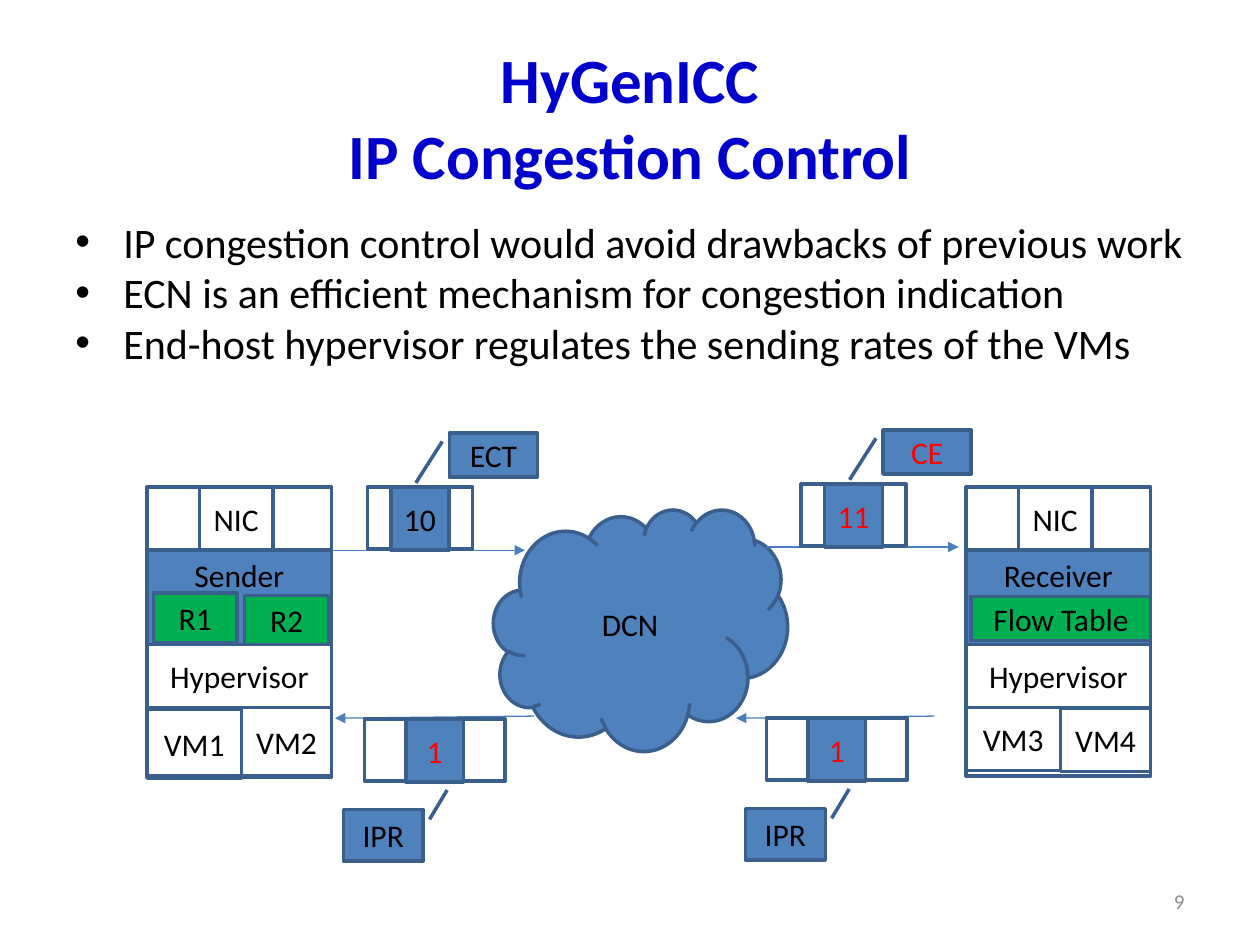
"""Build the HyGenICC slide: title, three bullets and a diagram of IP congestion control."""
from lxml import etree
from pptx import Presentation
from pptx.dml.color import RGBColor
from pptx.enum.shapes import MSO_CONNECTOR, MSO_SHAPE
from pptx.enum.text import MSO_ANCHOR, PP_ALIGN
from pptx.oxml.ns import qn
from pptx.util import Inches, Pt

RECTANGLE, CLOUD, CALLOUT = MSO_SHAPE.RECTANGLE, MSO_SHAPE.CLOUD, MSO_SHAPE.LINE_CALLOUT_1
STRAIGHT = MSO_CONNECTOR.STRAIGHT
TOP, MIDDLE = MSO_ANCHOR.TOP, MSO_ANCHOR.MIDDLE
CENTER, RIGHT = PP_ALIGN.CENTER, PP_ALIGN.RIGHT
BLUE, EDGE, ARROW, GREEN = "4F81BD", "3A5F8C", "4B7EBC", "00B050"
BLACK, RED, GREY, TITLE_BLUE = "000000", "FF0000", "8C8C8C", "0000CC"

deck = Presentation()
deck.slide_width, deck.slide_height = Inches(10), Inches(7.5)
COLUMN, ROW = deck.slide_width / 120, deck.slide_height / 90
page = deck.slides.add_slide(deck.slide_layouts[5])


def style(font, size, colour):
    """Set the typeface, size and hex colour of a font."""
    font.name, font.size = "Calibri", Pt(size)
    font.color.rgb = RGBColor.from_string(colour)


def draw(kind, column, row, columns, rows, label="", fill=None, colour=BLACK, anchor=MIDDLE):
    """Add an outlined shape placed on the slide grid, with a centred label."""
    shape = page.shapes.add_shape(kind, int(column * COLUMN), int(row * ROW),
                                  int(columns * COLUMN), int(rows * ROW))
    shape.shadow.inherit = False
    if fill:
        shape.fill.solid()
        shape.fill.fore_color.rgb = RGBColor.from_string(fill)
    else:
        shape.fill.background()
    shape.line.color.rgb = RGBColor.from_string(EDGE)
    shape.line.width = Pt(2)
    frame = shape.text_frame
    frame.margin_left = frame.margin_right = 0
    frame.vertical_anchor = anchor
    if label:
        frame.text = label
        frame.paragraphs[0].alignment = CENTER
        style(frame.paragraphs[0].runs[0].font, 18, colour)
    return shape


title = page.shapes.title
title.left, title.top = int(6 * COLUMN), int(3.6 * ROW)
title.width, title.height = int(108 * COLUMN), int(15 * ROW)
title.text_frame.text = "HyGenICC\vIP Congestion Control"
title.text_frame.vertical_anchor = MIDDLE
title.text_frame.paragraphs[0].alignment = CENTER
for span in title.text_frame.paragraphs[0].runs:
    style(span.font, 36, TITLE_BLUE)
    span.font.bold = True

body = page.shapes.add_textbox(int(6 * COLUMN), int(20 * ROW), int(111.5 * COLUMN), int(15.7 * ROW))
body.text_frame.word_wrap = True
body.text_frame.text = "\n".join([
    "IP congestion control would avoid drawbacks of previous work",
    "ECN is an efficient mechanism for congestion indication",
    "End-host hypervisor regulates the sending rates of the VMs",
])
for para in body.text_frame.paragraphs:
    properties = para._p.get_or_add_pPr()
    properties.set("marL", str(Inches(0.38)))
    properties.set("indent", str(-Inches(0.38)))
    etree.SubElement(properties, qn("a:buFont")).set("typeface", "Arial")
    etree.SubElement(properties, qn("a:buChar")).set("char", "•")
    style(para.runs[0].font, 24, BLACK)

number = page.shapes.add_textbox(int(86 * COLUMN), int(83.4 * ROW), int(28 * COLUMN), int(4.8 * ROW))
number.text_frame.word_wrap = True
number.text_frame.vertical_anchor = MIDDLE
number.text_frame.text = "9"
number.text_frame.paragraphs[0].alignment = RIGHT
style(number.text_frame.paragraphs[0].runs[0].font, 12, GREY)

hosts = [
    (14, "Sender", [("VM1", 67.5, 6.6), ("VM2", 67.4, 6.6)]),
    (92, "Receiver", [("VM3", 67.4, 6), ("VM4", 67.5, 6)]),
]
for left, role, machines in hosts:
    draw(RECTANGLE, left, 46.4, 17.6, 27.5)
    draw(RECTANGLE, left, 52.4, 17.6, 9, role, BLUE, anchor=TOP)
    draw(RECTANGLE, left + 5, 46.4, 7, 6, "NIC")
    draw(RECTANGLE, left, 61.4, 17.6, 6, "Hypervisor")
    for (machine, row, rows), offset, columns in zip(machines, (0, 9), (9, 8.6)):
        draw(RECTANGLE, left + offset, row, columns, rows, machine)

draw(CLOUD, 47, 48.5, 28, 23, "DCN", BLUE)

arrows = [
    (31.7, 52.4, 50, 52.4),
    (73, 52.1, 91.3, 52.1),
    (89, 68.2, 70.1, 68.4),
    (50.9, 68.2, 31.9, 68.4),
]
for start_column, start_row, end_column, end_row in arrows:
    arrow = page.shapes.add_connector(STRAIGHT, int(start_column * COLUMN), int(start_row * ROW),
                                      int(end_column * COLUMN), int(end_row * ROW))
    arrow.line.color.rgb = RGBColor.from_string(ARROW)
    arrow.line.width = Pt(0.75)
    etree.SubElement(arrow.line._get_or_add_ln(), qn("a:tailEnd")).set("type", "triangle")
    etree.SubElement(arrow._element.spPr, qn("a:effectLst"))

above = (7.8, -5.15, 8.4, 4.2, (0.19, -0.08, 1.13, -0.38))
below = (-2, 8.6, 7.6, 4.9, (0.19, 1.08, -0.38, 1.3))
packets = [
    (35, 46.4, 10, "10", BLACK, "ECT", BLACK, above),
    (76.3, 46.1, 10, "11", RED, "CE", RED, above),
    (73, 68.4, 13.4, "1", RED, "IPR", BLACK, below),
    (34.7, 68.5, 13.4, "1", RED, "IPR", BLACK, below),
]
for left, top, columns, bits, bits_colour, name, name_colour, side in packets:
    right_shift, down_shift, name_columns, name_rows, pointer = side
    draw(RECTANGLE, left, top, columns, 5.9)
    draw(RECTANGLE, left + (columns - 5.5) / 2, top, 5.5, 6, bits, BLUE, bits_colour)
    callout = draw(CALLOUT, left + right_shift, top + down_shift, name_columns, name_rows,
                   name, BLUE, name_colour)
    for index, value in enumerate(pointer):
        callout.adjustments[index] = value

draw(RECTANGLE, 23.3, 56.7, 8, 4.7, "R2", GREEN)
draw(RECTANGLE, 14.6, 56.5, 8, 4.7, "R1", GREEN)
draw(RECTANGLE, 92.5, 56.8, 17.1, 4.2, "Flow Table", GREEN)

deck.save("out.pptx")
